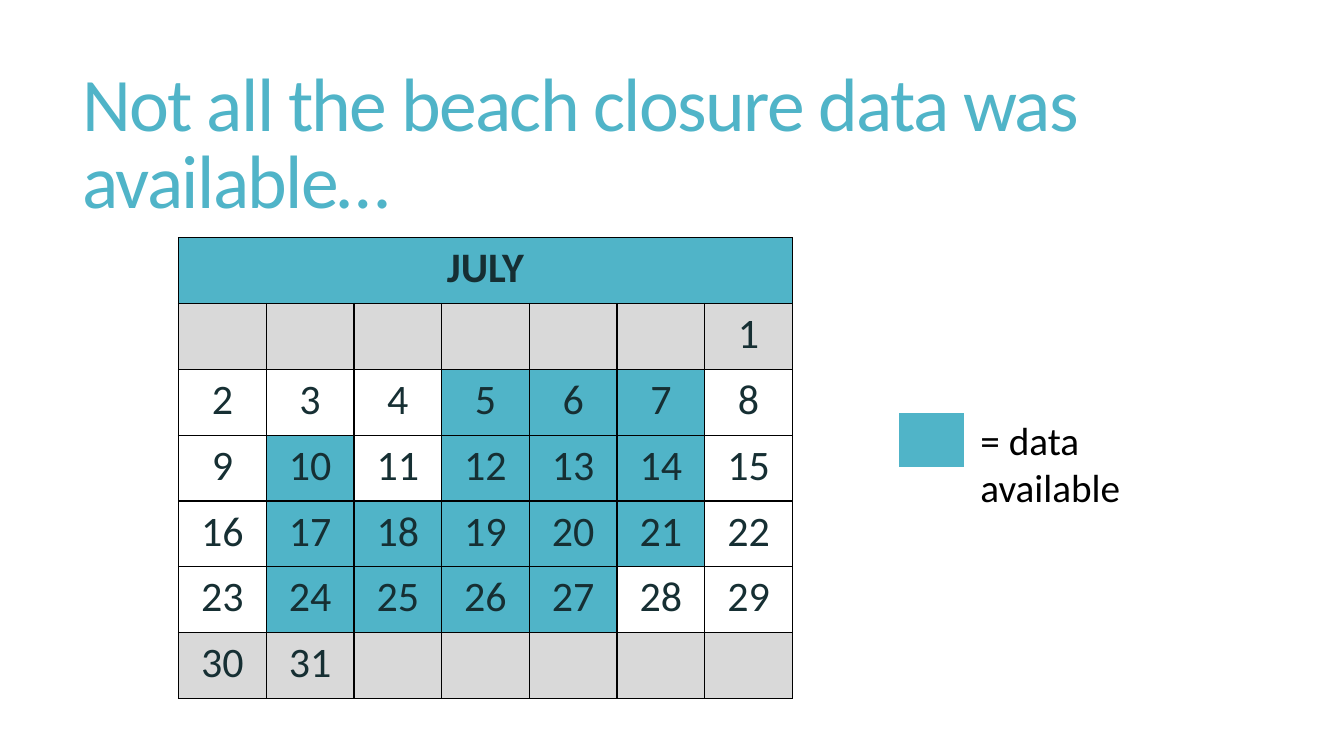
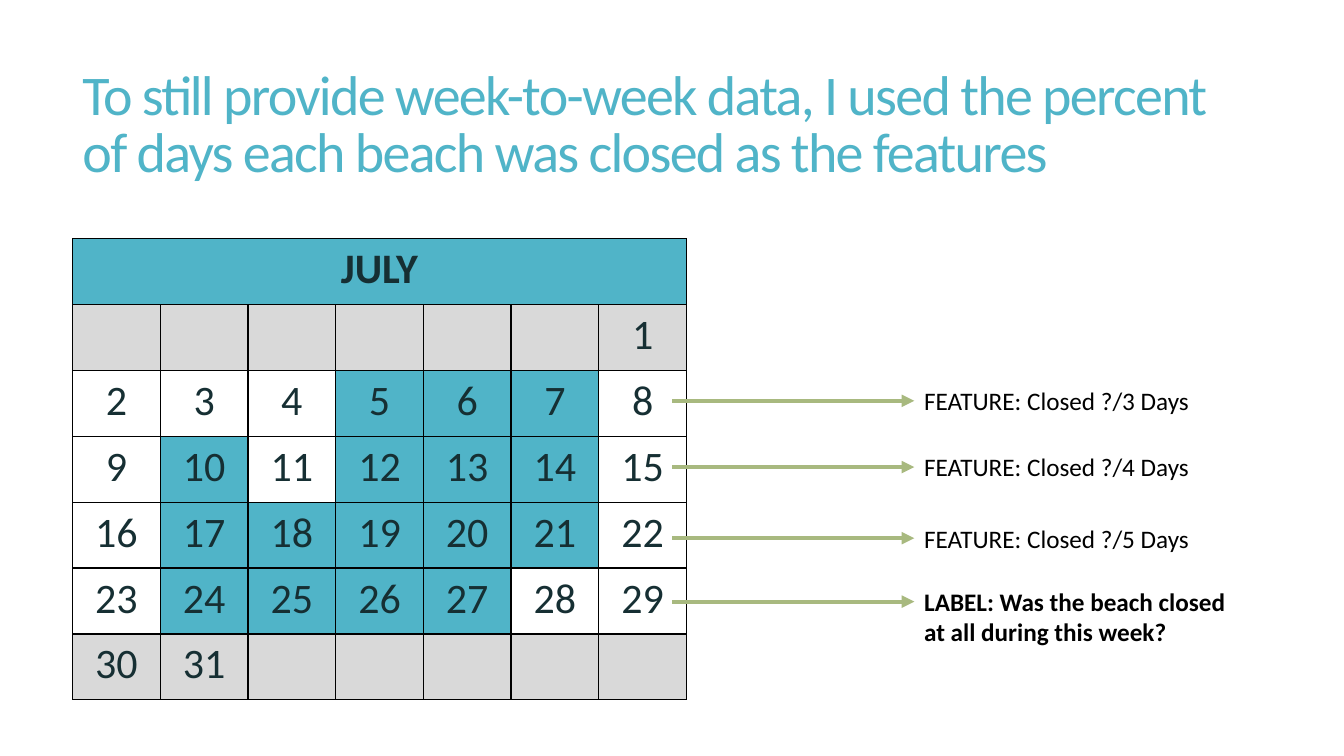
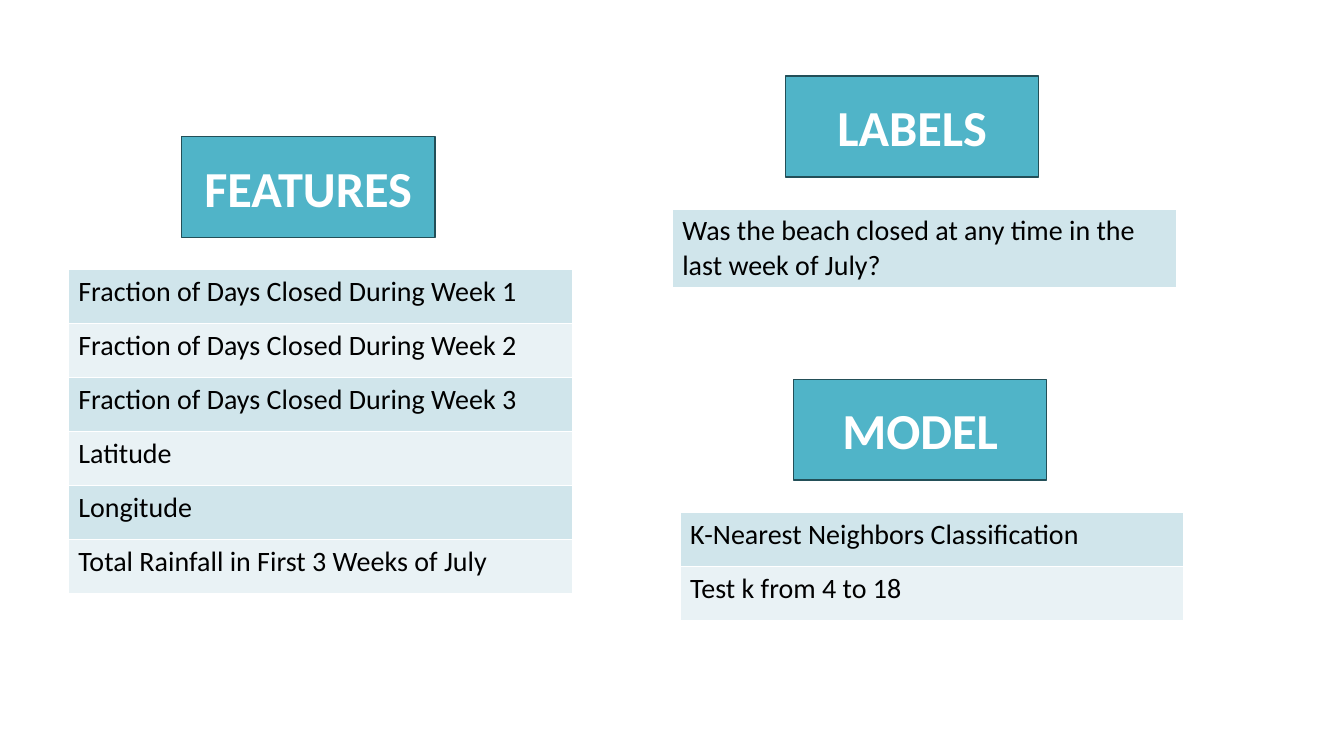
import dataclasses
import typing

import lxml.etree
import pptx
import pptx.dml.color
import pptx.enum.shapes
import pptx.enum.text
import pptx.oxml
import pptx.oxml.ns
import pptx.util

Cm = pptx.util.Cm
Pt = pptx.util.Pt
ALIGN = pptx.enum.text.PP_ALIGN
ANCHOR = pptx.enum.text.MSO_ANCHOR
FIT = pptx.enum.text.MSO_AUTO_SIZE
qn = pptx.oxml.ns.qn


# Shared look
@dataclasses.dataclass(frozen=True)
class Theme:
    font: str = "Calibri"
    accent: str = "50B4C8"
    accent_dark: str = "234F58"
    ink: str = "162F33"
    black: str = "000000"
    white: str = "FFFFFF"
    grey: str = "D9D9D9"
    green: str = "A8B97F"
    bands: tuple[str, str] = ("D0E5EB", "E9F2F5")
    title: float = 54
    long_title: float = 40
    heading: float = 36
    calendar: float = 30
    legend: float = 28
    row: float = 20
    note: float = 18


THEME = Theme()


# Repeated elements, lengths in centimetres
class Area(typing.NamedTuple):
    left: float
    top: float
    width: float
    height: float

    def lengths(self) -> list[int]:
        return [Cm(value) for value in self]


@dataclasses.dataclass(frozen=True)
class Cell:
    fill: str
    text: str = ""
    bold: bool = False


@dataclasses.dataclass(frozen=True)
class WeekNote:
    text: str
    middle: float
    is_label: bool = False


@dataclasses.dataclass(frozen=True)
class Panel:
    heading: str
    left: float
    top: float
    rows: tuple[str, ...]
    row_height: float = 1.36


AVAILABLE_DAYS = {5, 6, 7, 10, 12, 13, 14, *range(17, 22), *range(24, 28)}
DAYS_IN_WEEK = 7
WEEKS = 6
BLANK_DAYS = 6
LAST_DAY = 31

WEEK_NOTES = (
    WeekNote("FEATURE: Closed ?/3 Days", 10.1),
    WeekNote("FEATURE: Closed ?/4 Days", 11.77),
    WeekNote("FEATURE: Closed ?/5 Days", 13.56),
    WeekNote("LABEL: Was the beach closed at all during this week?", 15.16, True),
)

PANELS = (
    Panel("FEATURES", 4.58, 3.44, (
        *(f"Fraction of Days Closed During Week {week}" for week in (1, 2, 3)),
        "Latitude",
        "Longitude",
        "Total Rainfall in First 3 Weeks of July",
    )),
    Panel("LABELS", 19.8, 1.92,
          ("Was the beach closed at any time in the last week of July?",), 1.96),
    Panel("MODEL", 20, 9.56,
          ("K-Nearest Neighbors Classification", "Test k from 4 to 18")),
)


# Drawing tools
def rgb(color: str) -> pptx.dml.color.RGBColor:
    return pptx.dml.color.RGBColor.from_string(color)


def write_text(frame, text: str, *, size: float, color: str = THEME.black,
               bold: bool = False, align=ALIGN.LEFT,
               line_spacing: float | None = None,
               tracking: float | None = None) -> None:
    para = frame.paragraphs[0]
    para.alignment = align
    para.line_spacing = line_spacing
    span = para.add_run()
    span.text = text
    span.font.name = THEME.font
    span.font.size = Pt(size)
    span.font.bold = bold
    span.font.color.rgb = rgb(color)
    if tracking is not None:
        span.font._element.set("spc", str(round(tracking * 100)))


def add_text(page, area: Area, text: str, *, wrap: bool = True,
             anchor=ANCHOR.TOP, fit=FIT.SHAPE_TO_FIT_TEXT, **style):
    box = page.shapes.add_textbox(*area.lengths())
    frame = box.text_frame
    frame.word_wrap = wrap
    frame.auto_size = fit
    frame.vertical_anchor = anchor
    write_text(frame, text, **style)
    return box


def add_title(page, text: str, size: float, height: float) -> None:
    add_text(page, Area(1.83, 1.4, 29.92, height), text, anchor=ANCHOR.MIDDLE,
             fit=FIT.NONE, size=size, color=THEME.accent, line_spacing=0.85,
             tracking=-1.2)


def set_borders(cell, color: str, bottom: float) -> None:
    properties = cell._tc.get_or_add_tcPr()
    for side, width in (("L", 1), ("R", 1), ("T", 1), ("B", bottom)):
        line = lxml.etree.SubElement(properties, qn(f"a:ln{side}"), w=str(Pt(width)))
        fill = lxml.etree.SubElement(line, qn("a:solidFill"))
        lxml.etree.SubElement(fill, qn("a:srgbClr"), val=color)


def add_grid(page, area: Area, rows: list[list[Cell]], *, border: str,
             size: float, color: str = THEME.black, align=ALIGN.LEFT,
             bottom: float = 1):
    table = page.shapes.add_table(len(rows), len(rows[0]), *area.lengths()).table
    table.first_row = table.horz_banding = False
    for row_index, row in enumerate(rows):
        for column_index, content in enumerate(row):
            cell = table.cell(row_index, column_index)
            set_borders(cell, border, bottom)
            cell.fill.solid()
            cell.fill.fore_color.rgb = rgb(content.fill)
            if content.text:
                write_text(cell.text_frame, content.text, size=size,
                           color=color, bold=content.bold, align=align)
    return table


def add_arrow(page, left: float, right: float, middle: float):
    arrow = page.shapes.add_connector(
        pptx.enum.shapes.MSO_CONNECTOR.STRAIGHT,
        Cm(left), Cm(middle), Cm(right), Cm(middle))
    arrow.line.color.rgb = rgb(THEME.green)
    arrow.line.width = Pt(3)
    lxml.etree.SubElement(arrow.line._get_or_add_ln(), qn("a:tailEnd"), type="triangle")
    lxml.etree.SubElement(arrow._element.spPr, qn("a:effectLst"))
    return arrow


def day_cell(week: int, weekday: int) -> Cell:
    day = week * DAYS_IN_WEEK + weekday - BLANK_DAYS + 1
    if week in (0, WEEKS - 1):
        fill = THEME.grey
    else:
        fill = THEME.accent if day in AVAILABLE_DAYS else THEME.white
    return Cell(fill, str(day) if 1 <= day <= LAST_DAY else "")


def add_calendar(page, left: float, top: float) -> None:
    header = [Cell(THEME.accent, "JULY", True)]
    header += [Cell(THEME.accent)] * (DAYS_IN_WEEK - 1)
    weeks = [[day_cell(week, weekday) for weekday in range(DAYS_IN_WEEK)]
             for week in range(WEEKS)]
    area = Area(left, top, 2.21 * DAYS_IN_WEEK, 1.66 * (WEEKS + 1))
    table = add_grid(page, area, [header, *weeks], border=THEME.black,
                     size=THEME.calendar, color=THEME.ink, align=ALIGN.CENTER)
    table.cell(0, 0).merge(table.cell(0, DAYS_IN_WEEK - 1))


def add_week_note(page, note: WeekNote) -> None:
    left, line_height = 23.04, 1.02
    width, height = (8.71, 1.8) if note.is_label else (7.19, line_height)
    arrow = add_arrow(page, 16.94, left, note.middle)
    box = add_text(page, Area(left, note.middle - line_height / 2, width, height),
                   note.text, wrap=note.is_label, size=THEME.note,
                   bold=note.is_label)
    if not note.is_label:
        arrow.end_connect(box, 1)


def add_panel(page, panel: Panel) -> None:
    rows = [[Cell(THEME.bands[index % 2], text)]
            for index, text in enumerate(panel.rows)]
    area = Area(panel.left - 2.86, panel.top + 3.35, 12.7,
                panel.row_height * len(rows))
    add_grid(page, area, rows, border=THEME.white, size=THEME.row)
    heading = page.shapes.add_shape(
        pptx.enum.shapes.MSO_SHAPE.RECTANGLE,
        *Area(panel.left, panel.top, 6.38, 2.54).lengths())
    heading.shadow.inherit = False
    heading.fill.solid()
    heading.fill.fore_color.rgb = rgb(THEME.accent)
    heading.line.color.rgb = rgb(THEME.accent_dark)
    heading.line.width = Pt(1)
    heading.text_frame.vertical_anchor = ANCHOR.MIDDLE
    write_text(heading.text_frame, panel.heading, size=THEME.heading,
               color=THEME.white, bold=True, align=ALIGN.CENTER)


# Slides
def draw_available_days(page) -> None:
    add_title(page, "Not all the beach closure data was available…",
              THEME.title, 4.6)
    add_calendar(page, 4.5, 5.99)
    add_grid(page, Area(22.63, 10.39, 1.68, 1.42), [[Cell(THEME.accent)]],
             border=THEME.white, size=THEME.note, bottom=3)
    add_text(page, Area(24.46, 10.36, 6.7, 1.45), "= data available",
             size=THEME.legend)


def draw_weekly_features(page) -> None:
    add_title(page, "To still provide week-to-week data, I used the percent of "
              "days each beach was closed as the features", THEME.long_title, 3.58)
    add_calendar(page, 1.83, 6.02)
    for note in WEEK_NOTES:
        add_week_note(page, note)


def draw_model_summary(page) -> None:
    for panel in PANELS:
        add_panel(page, panel)


def main() -> None:
    deck = pptx.Presentation()
    deck.slide_width, deck.slide_height = Cm(33.87), Cm(19.05)
    for draw in (draw_available_days, draw_weekly_features, draw_model_summary):
        draw(deck.slides.add_slide(deck.slide_layouts[6]))
    deck.save("out.pptx")


if __name__ == "__main__":
    main()
